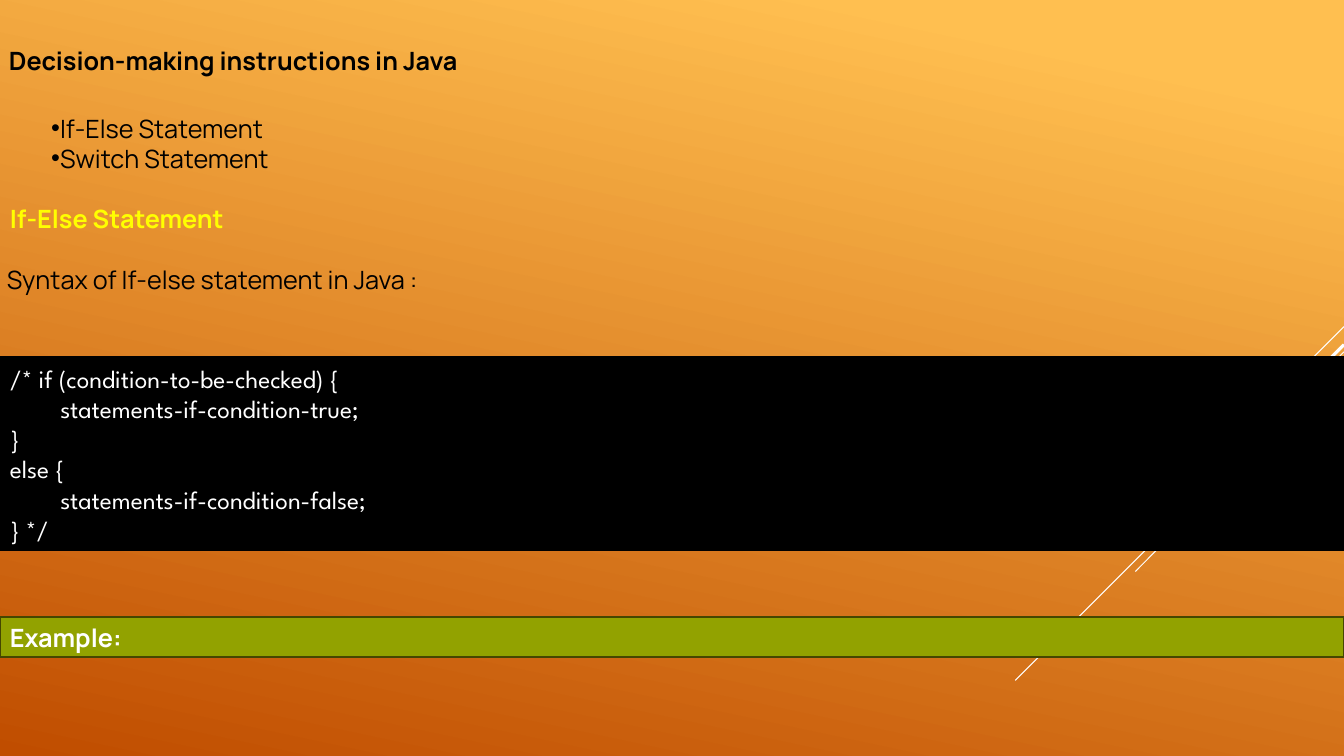
from lxml import etree
from pptx import Presentation
from pptx import util as u
from pptx.dml.color import RGBColor
from pptx.enum import shapes, text
from pptx.oxml.ns import qn

COLORS = {
    "amber": "FFBF50", "rust": "C04D00", "black": "000000", "white": "FFFFFF",
    "yellow": "FFFF00", "olive": "92A200", "moss": "454700",
}
WIDTH, HEIGHT = 13.33, 7.5
# Start height on the right edge, left end, end height, line width
STREAKS = [
    (3.24, 12.33, 4.24, 0.75),
    (3.49, 10.07, 6.75, 0.75),
    (3.59, 11.26, 5.67, 0.75),
    (3.42, 11.42, 5.33, 2.25),
    (4.03, 11.94, 5.42, 2.25),
]
SYNTAX = """/* if (condition-to-be-checked) {
\tstatements-if-condition-true;
}
else {
\tstatements-if-condition-false;
} */"""


def color(name):
    return RGBColor.from_string(COLORS[name])


class Deck:
    def __init__(self):
        self.show = Presentation()
        self.show.slide_width = u.Inches(WIDTH)
        self.show.slide_height = u.Inches(HEIGHT)
        self.slide = self.show.slides.add_slide(self.show.slide_layouts[6])
        self.font = "Manrope"
        self.size = u.Pt(18)

    def shade(self):
        """Fill the background with the amber to rust gradient."""
        fill = self.slide.background.fill
        fill.gradient()
        fill.gradient_angle = 360 - 102
        for stop, place, name in zip(fill.gradient_stops, (0.1, 1), ("amber", "rust")):
            stop.position = place
            stop.color.rgb = color(name)

    def line(self, top, left, low, width):
        line = self.slide.shapes.add_connector(
            shapes.MSO_CONNECTOR.STRAIGHT, u.Inches(WIDTH), u.Inches(top),
            u.Inches(left), u.Inches(low))
        line.line.color.rgb = color("white")
        line.line.width = u.Pt(width)
        etree.SubElement(line._element.spPr, qn("a:effectLst"))

    def letter(self, frame, words, ink, bold=False, font=None, bullet=False):
        """Put styled words into a text frame."""
        frame.word_wrap = True
        frame.text = words
        for para in frame.paragraphs:
            para.alignment = text.PP_ALIGN.LEFT
            props = para._p.get_or_add_pPr()
            if bullet:
                etree.SubElement(props, qn("a:buFont"), typeface="Arial")
                etree.SubElement(props, qn("a:buChar"), char="•")
            if "\t" in words:
                tabs = etree.SubElement(props, qn("a:tabLst"))
                etree.SubElement(tabs, qn("a:tab"), pos=str(u.Inches(0.5)), algn="l")
            for run in para.runs:
                run.font.name = font or self.font
                run.font.size = self.size
                run.font.bold = bold
                run.font.color.rgb = color(ink)

    def label(self, left, top, width, height, words, ink="black", **style):
        box = self.slide.shapes.add_textbox(
            *map(u.Inches, (left, top, width, height)))
        self.letter(box.text_frame, words, ink, **style)

    def band(self, top, height, fill, edge, words, **style):
        """Add a full-width bar with white text."""
        bar = self.slide.shapes.add_shape(
            shapes.MSO_SHAPE.RECTANGLE, *map(u.Inches, (0, top, WIDTH, height)))
        bar.shadow.inherit = False
        bar.fill.solid()
        bar.fill.fore_color.rgb = color(fill)
        bar.line.color.rgb = color(edge)
        bar.line.width = u.Pt(1.25)
        bar.text_frame.vertical_anchor = text.MSO_ANCHOR.MIDDLE
        self.letter(bar.text_frame, words, "white", **style)


def main():
    deck = Deck()
    deck.shade()
    for streak in STREAKS:
        deck.line(*streak)
    deck.label(0.41, 1.07, 6.68, 0.71, "If-Else Statement\nSwitch Statement", bullet=True)
    deck.label(-0.01, 0.4, 6.68, 0.4, "Decision-making instructions in Java", bold=True)
    deck.label(-0.03, 2.57, 6.71, 0.4, "Syntax of If-else statement in Java :")
    deck.label(0, 1.97, 6.71, 0.4, "If-Else Statement", "yellow", bold=True)
    deck.band(3.54, 1.92, "black", "black", SYNTAX, font="League Spartan")
    deck.band(6.12, 0.4, "olive", "moss", "Example:", bold=True)
    deck.show.save("out.pptx")


if __name__ == "__main__":
    main()
